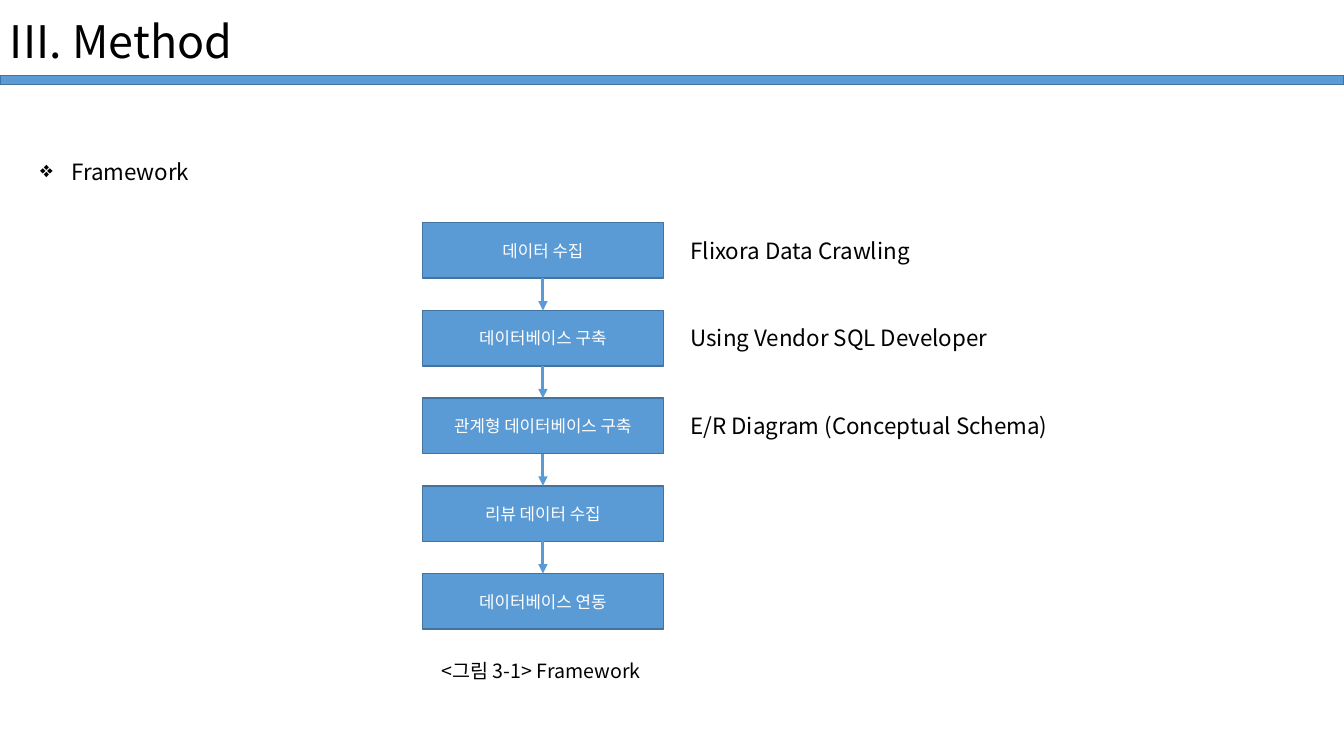
from dataclasses import dataclass

from lxml import etree
from pptx import Presentation
from pptx import util as u
from pptx.dml.color import RGBColor
from pptx.enum import shapes, text
from pptx.oxml.ns import qn

FONT = "Noto Sans CJK KR"
BLUE, EDGE, BLACK, WHITE = "5B9BD5", "43739E", "000000", "FFFFFF"
STEP_LEFT, STEP_TOP, STEP_W, STEP_H, PITCH = 4.19, 2.21, 2.39, 0.55, 0.87
NOTE_LEFT, NOTE_DROP, NOTE_H = 6.75, 0.09, 0.37


@dataclass
class Step:
    name: str
    note: str = ""
    note_w: float = 0


STEPS = [
    Step("데이터 수집", "Flixora Data Crawling", 3.03),
    Step("데이터베이스 구축", "Using Vendor SQL Developer", 3.71),
    Step("관계형 데이터베이스 구축", "E/R Diagram (Conceptual Schema)", 4.38),
    Step("리뷰 데이터 수집"),
    Step("데이터베이스 연동"),
]


def rgb(value: str) -> RGBColor:
    return RGBColor.from_string(value)


def add_run(p, words: str, size: float, color: str) -> None:
    r = p.add_run()
    r.text = words
    r.font.size = u.Pt(size)
    r.font.color.rgb = rgb(color)
    r.font.name = FONT
    etree.SubElement(r.font._element, qn("a:ea"), typeface=FONT)


def add_bar(s, left: float, top: float, width: float, height: float):
    sp = s.shapes.add_shape(shapes.MSO_SHAPE.RECTANGLE, u.Inches(left), u.Inches(top),
                            u.Inches(width), u.Inches(height))
    sp.shadow.inherit = False
    sp.fill.solid()
    sp.fill.fore_color.rgb = rgb(BLUE)
    sp.line.color.rgb = rgb(EDGE)
    sp.line.width = u.Pt(1)
    return sp


def add_text(s, left: float, top: float, width: float, height: float,
             words: str, size: float):
    sp = s.shapes.add_textbox(u.Inches(left), u.Inches(top), u.Inches(width), u.Inches(height))
    tf = sp.text_frame
    tf.word_wrap = True
    tf.auto_size = text.MSO_AUTO_SIZE.SHAPE_TO_FIT_TEXT
    p = tf.paragraphs[0]
    add_run(p, words, size, BLACK)
    return p


def add_bullet(p, indent: float, tag: str, **attrs: str) -> None:
    pPr = p._p.get_or_add_pPr()
    pPr.set("marL", str(u.Inches(indent)))
    pPr.set("indent", str(-u.Inches(indent)))
    etree.SubElement(pPr, qn(tag), attrs)


def add_arrow(s, upper, lower) -> None:
    c = s.shapes.add_connector(shapes.MSO_CONNECTOR.STRAIGHT, 0, 0, 0, 0)
    c.begin_connect(upper, 2)
    c.end_connect(lower, 0)
    c.line.color.rgb = rgb(BLUE)
    c.line.width = u.Pt(2.25)
    etree.SubElement(c.line._get_or_add_ln(), qn("a:tailEnd"), type="triangle")
    etree.SubElement(c._element.spPr, qn("a:effectLst"))


def main() -> None:
    prs = Presentation()
    prs.slide_width, prs.slide_height = u.Inches(13.33), u.Inches(7.5)
    s = prs.slides.add_slide(prs.slide_layouts[6])

    # Title and heading
    add_bar(s, 0, 0.75, 13.33, 0.09)
    title = add_text(s, 0, 0.09, 10.73, 0.64, "Method", 32)
    add_bullet(title, 0.62, "a:buAutoNum", type="romanUcPeriod", startAt="3")
    heading = add_text(s, 0.3, 1.39, 10.1, 0.47, "Framework", 16)
    heading.line_spacing = 1.5
    add_bullet(heading, 0.31, "a:buChar", char="❖")

    # Steps with their notes
    boxes = []
    for i, step in enumerate(STEPS):
        top = STEP_TOP + i * PITCH
        sp = add_bar(s, STEP_LEFT, top, STEP_W, STEP_H)
        tf = sp.text_frame
        tf.vertical_anchor = text.MSO_ANCHOR.MIDDLE
        p = tf.paragraphs[0]
        p.alignment = text.PP_ALIGN.CENTER
        add_run(p, step.name, 12, WHITE)
        boxes.append(sp)
        if step.note:
            add_text(s, NOTE_LEFT, top + NOTE_DROP, step.note_w, NOTE_H, step.note, 16)

    # Arrows between neighbouring steps
    for upper, lower in zip(boxes, boxes[1:]):
        add_arrow(s, upper, lower)

    # Caption
    add_text(s, 4.28, 6.49, 3.26, 0.34, "<그림 3-1> Framework", 14)

    prs.save("out.pptx")


if __name__ == "__main__":
    main()
